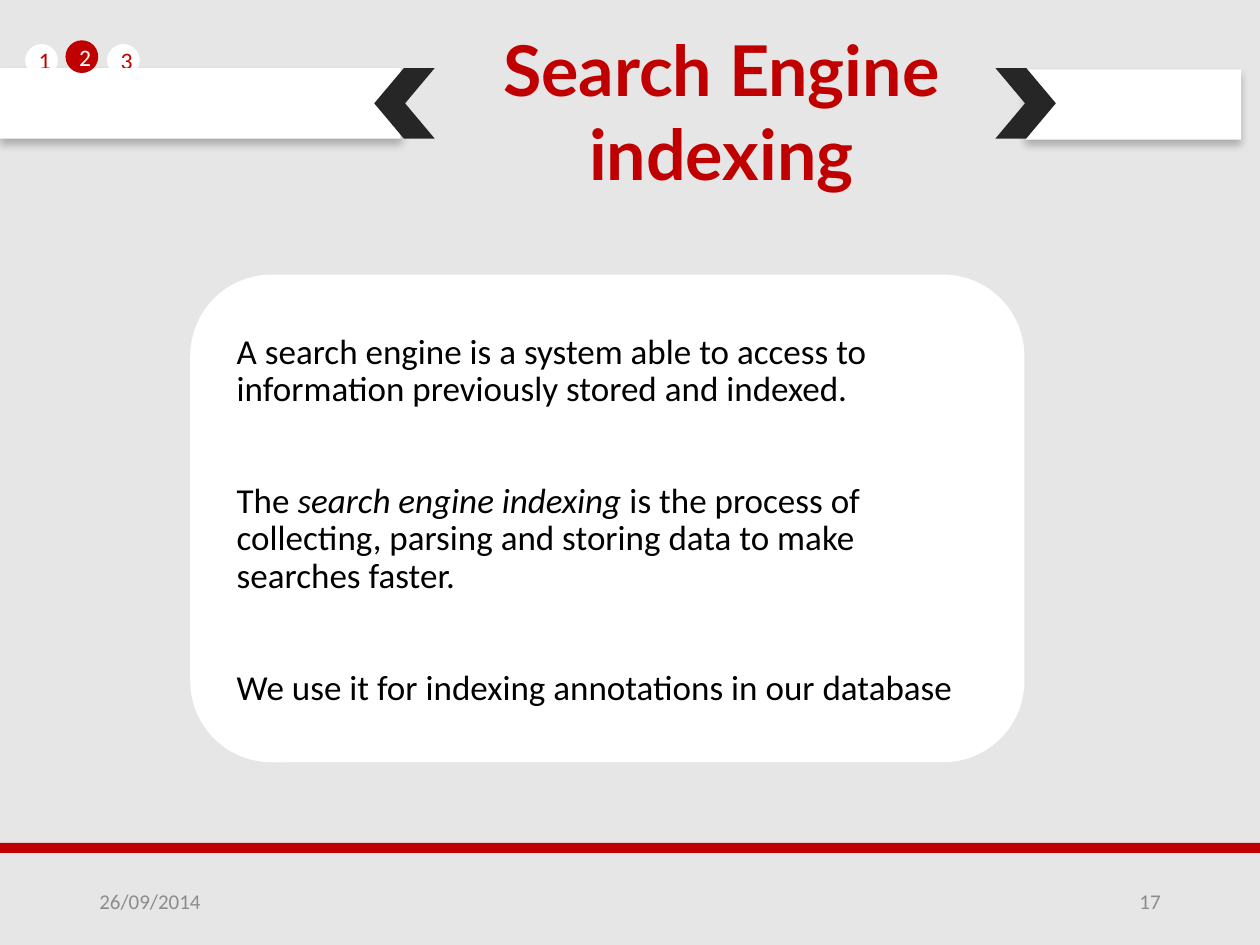
from lxml.etree import SubElement
from pptx import Presentation
from pptx.dml.color import RGBColor
from pptx.enum.shapes import MSO_SHAPE
from pptx.enum.text import MSO_ANCHOR, MSO_AUTO_SIZE, PP_ALIGN
from pptx.oxml.ns import qn
from pptx.util import Inches, Pt

COLORS = {"bg": "E7E6E6", "white": "FFFFFF", "red": "C00000",
          "dark": "262626", "black": "000000", "gray": "8C8C8C"}


def rgb(name):
    """Return the named palette colour."""
    return RGBColor.from_string(COLORS[name])


def add_block(s, kind, box, fill):
    """Add a flat preset shape filling the box."""
    sp = s.shapes.add_shape(kind, *map(Inches, box))
    sp.shadow.inherit = False
    sp.fill.solid()
    sp.fill.fore_color.rgb = rgb(fill)
    sp.line.fill.background()
    return sp


def style(p, size, color, align=PP_ALIGN.LEFT, font="Calibri"):
    """Set the font and alignment of a paragraph."""
    p.alignment = align
    p.font.size = Pt(size)
    p.font.name = font
    p.font.color.rgb = rgb(color)


def add_text_frame(s, box, anchor=MSO_ANCHOR.TOP):
    """Add a wrapping text box and return its frame."""
    tf = s.shapes.add_textbox(*map(Inches, box)).text_frame
    tf.word_wrap = True
    tf.vertical_anchor = anchor
    return tf


def add_step(s, number, box, fill, color):
    """Add a numbered progress circle."""
    tf = add_block(s, MSO_SHAPE.OVAL, box, fill).text_frame
    tf.margin_left = tf.margin_right = Inches(0.07)
    tf.margin_top = tf.margin_bottom = Inches(0.04)
    tf.vertical_anchor = MSO_ANCHOR.MIDDLE
    tf.text = number
    style(tf.paragraphs[0], 13.5, color, PP_ALIGN.CENTER)


def add_ribbon(s, box):
    """Add a white band with a soft shadow below it."""
    sp = add_block(s, MSO_SHAPE.RECTANGLE, box, "white")
    effects = sp._element.spPr.find(qn("a:effectLst"))
    shadow = SubElement(effects, qn("a:outerShdw"), blurRad=str(Pt(5)),
                        dist=str(Pt(3)), dir="5400000", rotWithShape="0")
    color = SubElement(shadow, qn("a:srgbClr"), val=COLORS["black"])
    SubElement(color, qn("a:alpha"), val="26000")


def add_chevron(s, box, rotation):
    """Add a dark chevron beside the title."""
    sp = add_block(s, MSO_SHAPE.CHEVRON, box, "dark")
    sp.adjustments[0] = 0.49
    sp.rotation = rotation


def add_header(s, left, top, width, height):
    """Place steps, ribbons, chevrons and title in the header band."""
    for number, x in (("1", 0.2), ("3", 0.85)):
        add_step(s, number, (left + x, top - 0.19, 0.26, 0.26), "white", "red")
    add_ribbon(s, (left + 8.14, top + 0.01, width - 8.14, height))
    add_ribbon(s, (left, top, 3.18, height))
    for x, rotation in ((2.97, 180), (7.9, 0)):
        add_chevron(s, (left + x, top, 0.48, height), rotation)
    add_step(s, "2", (left + 0.52, top - 0.22, 0.26, 0.26), "red", "white")

    title = s.shapes.title
    title.left, title.top = Inches(left + 3.46), Inches(top - 0.38)
    title.width, title.height = Inches(4.53), Inches(1.45)
    tf = title.text_frame
    tf.auto_size = MSO_AUTO_SIZE.NONE
    tf.word_wrap = True
    tf.vertical_anchor = MSO_ANCHOR.TOP
    tf.text = "Search Engine indexing"
    p = tf.paragraphs[0]
    style(p, 40, "red", PP_ALIGN.CENTER, "Lato")
    p.font.bold = True


def add_card(s, left, top, width, height):
    """Place the rounded card and its paragraphs."""
    add_block(s, MSO_SHAPE.ROUNDED_RECTANGLE, (left, top, width, height), "white")
    tf = add_text_frame(s, (left + 0.27, top + 0.42, width - 0.53, height - 0.72))
    paragraphs = (
        (("A search engine is a system able to access to information "
          "previously stored and indexed.", False),),
        (("The ", False), ("search engine indexing", True),
         (" is the process of collecting, parsing and storing data "
          "to make searches faster.", False)),
        (("We use it for indexing annotations in our database", False),),
    )
    for i, runs in enumerate(paragraphs):
        p = tf.add_paragraph() if i else tf.paragraphs[0]
        style(p, 20, "black")
        p.line_spacing = 0.9
        p.space_before = Pt(42 if i else 0)
        for text, italic in runs:
            r = p.add_run()
            r.text = text
            if italic:
                r.font.italic = True


def add_footer(s, left, top, width):
    """Place the red rule, the date and the page number."""
    add_block(s, MSO_SHAPE.RECTANGLE, (left, top, width, 0.08), "red")
    for text, x, align in (("26/09/2014", 0.69, PP_ALIGN.LEFT),
                           ("17", width - 2.94, PP_ALIGN.RIGHT)):
        tf = add_text_frame(s, (left + x, top + 0.26, 2.25, 0.4), MSO_ANCHOR.MIDDLE)
        tf.text = text
        style(tf.paragraphs[0], 12, "gray", align)


def main():
    """Build and save the slide."""
    prs = Presentation()
    prs.slide_width, prs.slide_height = Inches(10), Inches(7.5)
    s = prs.slides.add_slide(prs.slide_layouts.get_by_name("Title Only"))
    s.background.fill.solid()
    s.background.fill.fore_color.rgb = rgb("bg")
    add_card(s, 1.51, 2.18, 6.62, 3.87)
    add_header(s, 0, 0.54, 9.85, 0.56)
    add_footer(s, 0, 6.69, 10)
    prs.save("out.pptx")


if __name__ == "__main__":
    main()
